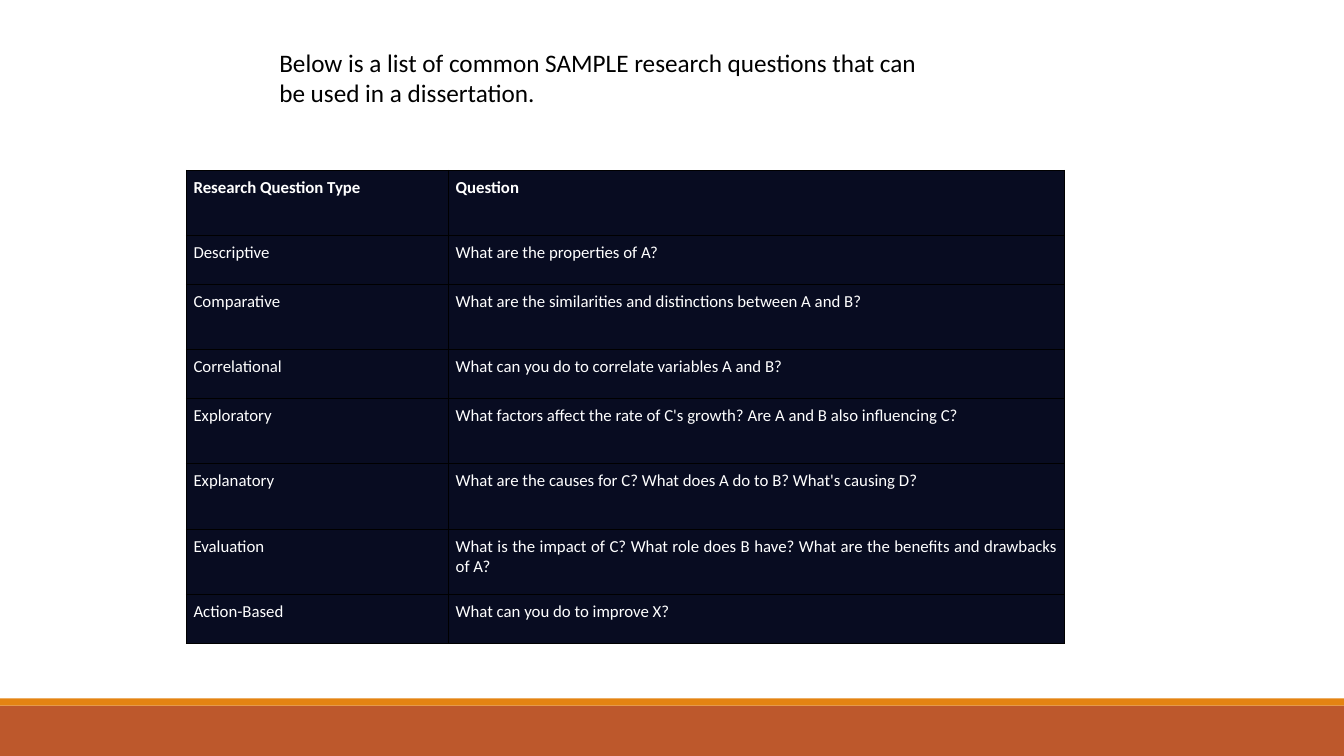
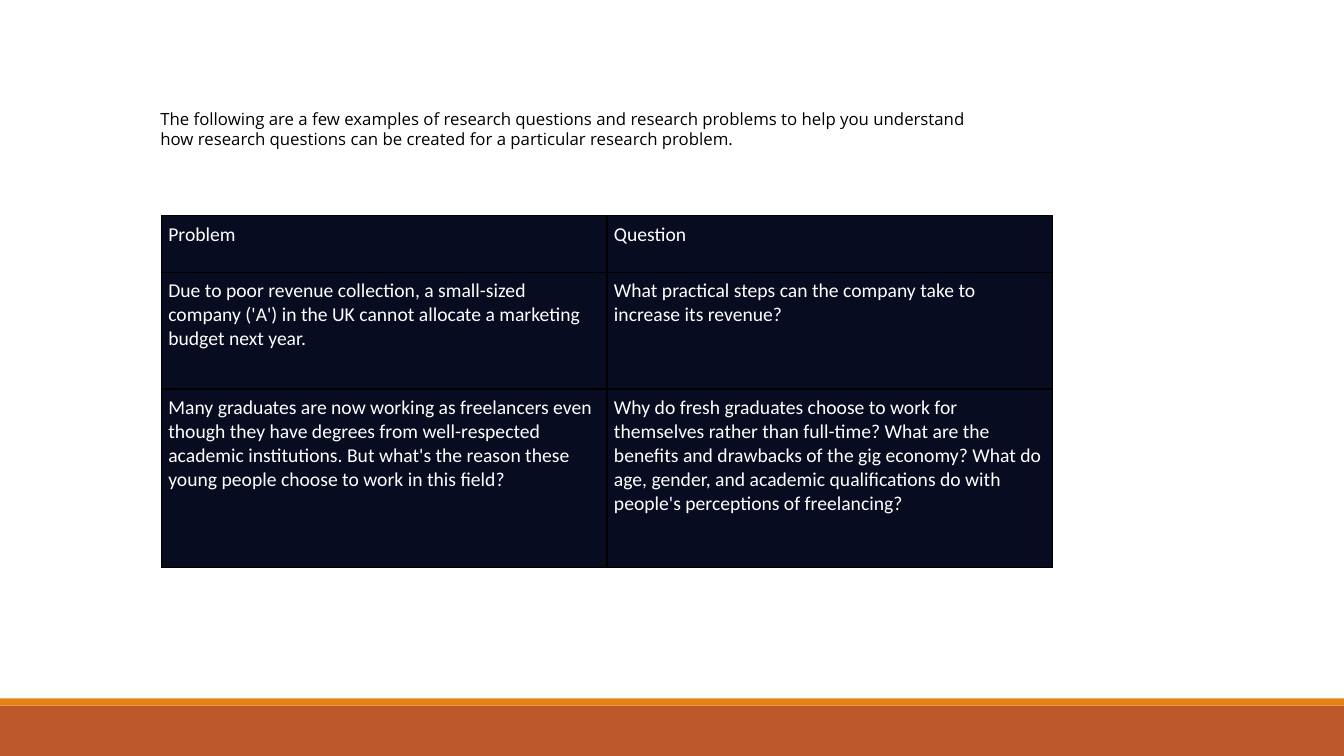
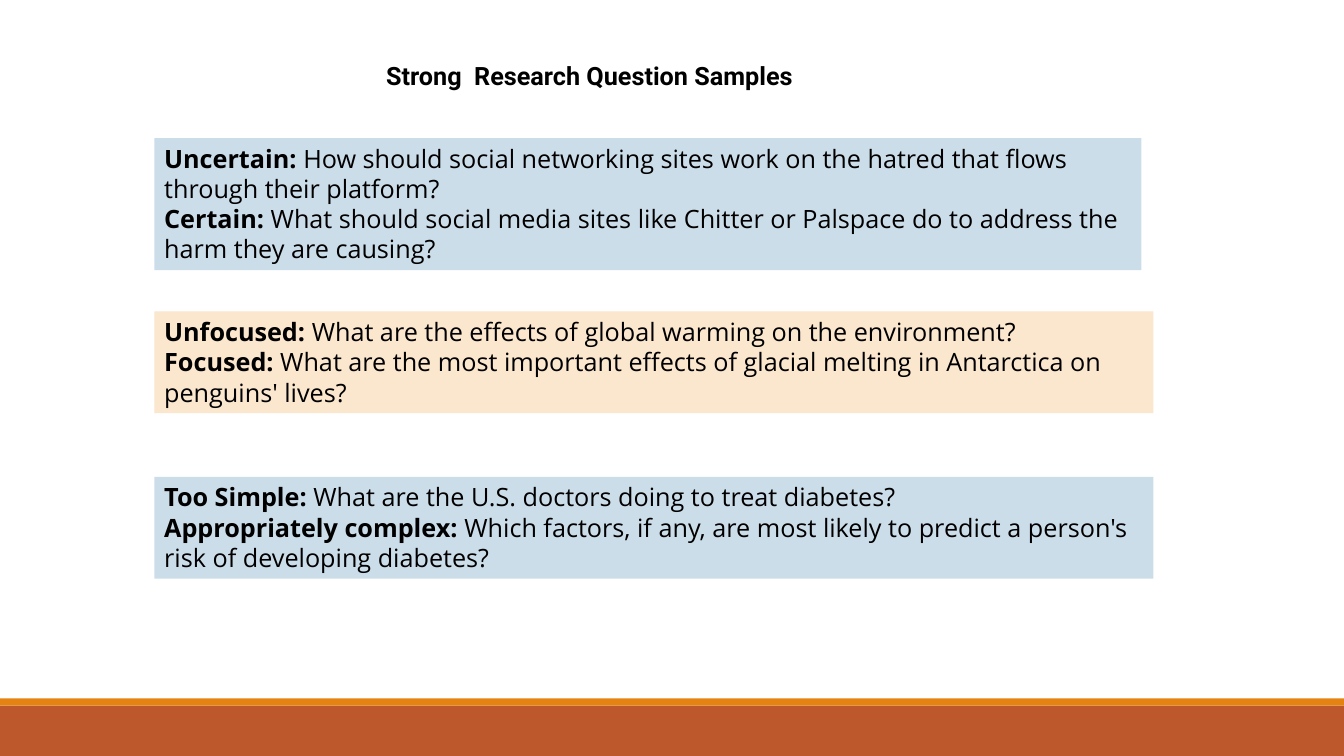
"""Build three slides of sample research questions for a dissertation."""
import pptx
import pptx.dml.color
import pptx.enum.shapes
import pptx.enum.text
import pptx.oxml
import pptx.oxml.ns
import pptx.util
from pptx.util import Inches

NAVY = "080C21"
RUST = "BD582C"
ORANGE = "E48312"
PALE_BLUE = "CCDDEA"
PALE_ORANGE = "FBE6CE"
BLACK = "000000"
WHITE = "FFFFFF"


def color(hex_value):
    return pptx.dml.color.RGBColor.from_string(hex_value)


def format_font(font, name, size, hex_value, bold=False):
    font.name = name
    font.size = pptx.util.Pt(size)
    font.color.rgb = color(hex_value)
    font.bold = bold


presentation = pptx.Presentation()
presentation.slide_width = Inches(13.33)
presentation.slide_height = Inches(7.5)
title_only = presentation.slide_layouts[5]
rectangle = pptx.enum.shapes.MSO_SHAPE.RECTANGLE
left_aligned = pptx.enum.text.PP_ALIGN.LEFT
justified = pptx.enum.text.PP_ALIGN.JUSTIFY

headings = [
    (["Below is a list of common SAMPLE research questions that can be used in a dissertation."],
     (2.67, 0.42, 6.67, 0.71), "Calibri", 18, False),
    (["The following are a few examples of research questions and research problems to help you understand",
      "how research questions can be created for a particular research problem."],
     (1.49, 1.03, 9.86, 1.11), "Open Sans", 12, False),
    (["Strong  Research Question Samples"], (3.73, 0.55, 4.56, 0.4), "Roboto", 18, True),
]
slides = []
for lines, position, font_name, size, bold in headings:
    slide = presentation.slides.add_slide(title_only)
    slides.append(slide)
    title = slide.shapes.title
    title.left, title.top, title.width, title.height = map(Inches, position)
    text_frame = title.text_frame
    text_frame.text = "\n".join(lines)
    text_frame.word_wrap = True
    text_frame.auto_size = pptx.enum.text.MSO_AUTO_SIZE.NONE
    text_frame.vertical_anchor = pptx.enum.text.MSO_ANCHOR.TOP
    for paragraph in text_frame.paragraphs:
        paragraph.alignment = left_aligned
        format_font(paragraph.runs[0].font, font_name, size, BLACK, bold)

master_shapes = presentation.slide_master.shapes
for band_id, (top, height, fill) in enumerate([(7, 0.5, RUST), (6.93, 0.07, ORANGE)], 101):
    band = slides[0].shapes.add_shape(rectangle, 0, Inches(top), presentation.slide_width, Inches(height))
    band.shadow.inherit = False
    band.fill.solid()
    band.fill.fore_color.rgb = color(fill)
    band.line.fill.background()
    band.element.xpath(".//p:cNvPr")[0].set("id", str(band_id))
    master_shapes.element.append(band.element)

question_types = [
    ("Research Question Type", "Question"),
    ("Descriptive", "What are the properties of A?"),
    ("Comparative", "What are the similarities and distinctions between A and B?"),
    ("Correlational", "What can you do to correlate variables A and B?"),
    ("Exploratory", "What factors affect the rate of C's growth? Are A and B also influencing C?"),
    ("Explanatory", "What are the causes for C? What does A do to B? What's causing D?"),
    ("Evaluation",
     "What is the impact of C? What role does B have? What are the benefits and drawbacks of A?"),
    ("Action-Based", "What can you do to improve X?"),
]
problems = [
    ("Problem", "Question"),
    ("Due to poor revenue collection, a small-sized company ('A') in the UK cannot allocate "
     "a marketing budget next year.",
     "What practical steps can the company take to increase its revenue?"),
    ("Many graduates are now working as freelancers even though they have degrees from "
     "well-respected academic institutions. But what's the reason these young people choose "
     "to work in this field?",
     "Why do fresh graduates choose to work for themselves rather than full-time? What are the "
     "benefits and drawbacks of the gig economy? What do age, gender, and academic "
     "qualifications do with people's perceptions of freelancing?"),
]
tables = [
    (slides[0], question_types, 1.85, 1.69, [2.6, 6.11],
     [0.65, 0.48, 0.65, 0.48, 0.65, 0.65, 0.65, 0.48], 12, justified, True),
    (slides[1], problems, 1.6, 2.14, [4.42, 4.42], [0.56, 1.16, 1.77], 14, left_aligned, False),
]
for slide, rows, left, top, widths, heights, size, alignment, bold_header in tables:
    table = slide.shapes.add_table(
        len(rows), len(widths), Inches(left), Inches(top), Inches(sum(widths)), Inches(sum(heights))
    ).table
    table.horz_banding = False
    for column, width in zip(table.columns, widths):
        column.width = Inches(width)
    for row_index, (row, height, texts) in enumerate(zip(table.rows, heights, rows)):
        row.height = Inches(height)
        for cell, text in zip(row.cells, texts):
            cell.text_frame.text = text
            cell.margin_left = cell.margin_right = Inches(0.07)
            cell.margin_top = cell.margin_bottom = Inches(0.07)
            paragraph = cell.text_frame.paragraphs[0]
            paragraph.alignment = alignment
            format_font(paragraph.runs[0].font, "Calibri", size, WHITE, bold_header and row_index == 0)
            properties = cell._tc.get_or_add_tcPr()
            for side in "LRTB":
                properties.append(pptx.oxml.parse_xml(
                    f'<a:ln{side} {pptx.oxml.ns.nsdecls("a")} w="12700"><a:solidFill>'
                    f'<a:srgbClr val="{BLACK}"/></a:solidFill></a:ln{side}>'))
            cell.fill.solid()
            cell.fill.fore_color.rgb = color(NAVY)

comparisons = [
    (1.37, 9.79, 1.31, PALE_BLUE, [
        ("Uncertain: ",
         "How should social networking sites work on the hatred that flows through their platform?"),
        ("Certain: ",
         "What should social media sites like Chitter or Palspace do to address the harm they are causing?"),
    ]),
    (3.09, 9.91, 1.01, PALE_ORANGE, [
        ("Unfocused: ", "What are the effects of global warming on the environment?"),
        ("Focused: ",
         "What are the most important effects of glacial melting in Antarctica on penguins' lives?"),
    ]),
    (4.73, 9.91, 1.01, PALE_BLUE, [
        ("Too Simple: ", "What are the U.S. doctors doing to treat diabetes?"),
        ("Appropriately complex: ",
         "Which factors, if any, are most likely to predict a person's risk of developing diabetes?"),
    ]),
]
for top, width, height, fill, samples in comparisons:
    panel = slides[2].shapes.add_shape(rectangle, Inches(1.53), Inches(top), Inches(width), Inches(height))
    panel.shadow.inherit = False
    panel.fill.solid()
    panel.fill.fore_color.rgb = color(fill)
    panel.line.fill.background()
    text_frame = panel.text_frame
    text_frame.word_wrap = True
    text_frame.vertical_anchor = pptx.enum.text.MSO_ANCHOR.TOP
    text_frame.text = "\n".join(label for label, question in samples)
    for paragraph, (label, question) in zip(text_frame.paragraphs, samples):
        paragraph.alignment = left_aligned
        format_font(paragraph.runs[0].font, "Open Sans", 18, BLACK, True)
        run = paragraph.add_run()
        run.text = question
        format_font(run.font, "Open Sans", 18, BLACK)

presentation.save("out.pptx")
